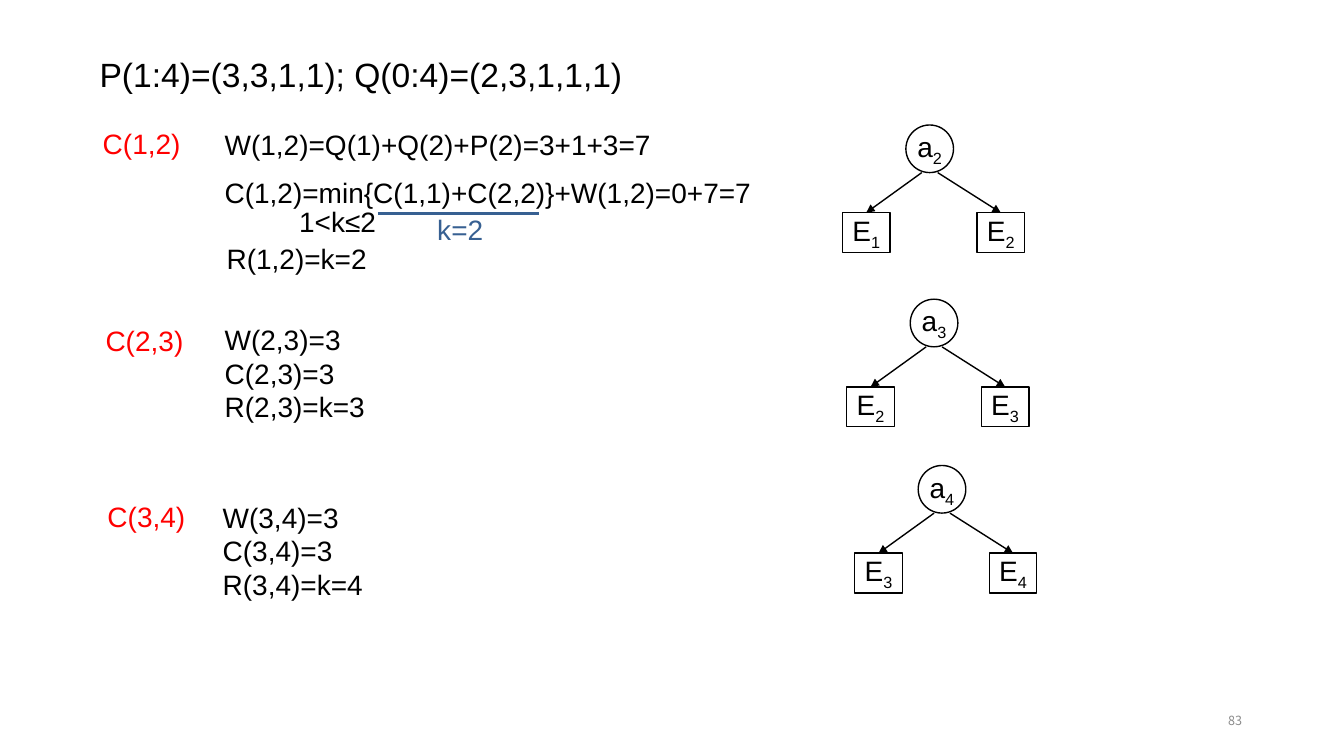
from dataclasses import dataclass

from pptx import Presentation, util as u
from pptx.dml.color import RGBColor
from pptx.enum import shapes, text
from pptx.oxml import xmlchemy as xml


@dataclass(frozen=True)
class Theme:
    font: str = "Arial"
    number_font: str = "Noto Sans CJK SC"
    ink: str = "000000"
    label: str = "FF0000"
    accent: str = "376092"
    muted: str = "8C8C8C"
    title_size: float = 24
    body_size: float = 20
    number_size: float = 9
    thin: float = 1
    thick: float = 2.25


THEME = Theme()
NARROW, WIDE = (0.1, 0.1), (0.25, 0.13)
LINE_HEIGHT = 1.07


def style_run(run, color=THEME.ink, size=THEME.body_size, font=THEME.font):
    run.font.name = font
    run.font.size = u.Pt(size)
    run.font.color.rgb = RGBColor.from_string(color)


def fill_text(shape, content, insets=NARROW, align=text.PP_ALIGN.LEFT,
              anchor=text.MSO_ANCHOR.TOP, spacing=1.0, **style):
    """Write wrapped, plainly spaced text into a text box or placeholder."""
    frame = shape.text_frame
    frame.text = content
    frame.word_wrap = True
    frame.auto_size = text.MSO_AUTO_SIZE.NONE
    frame.vertical_anchor = anchor
    frame.margin_left = frame.margin_right = u.Cm(insets[0])
    frame.margin_top = frame.margin_bottom = u.Cm(insets[1])
    for paragraph in frame.paragraphs:
        paragraph.alignment = align
        paragraph.line_spacing = spacing
        paragraph.space_before = u.Pt(0)
        for run in paragraph.runs:
            style_run(run, **style)


def place(shape, left, top, width, height):
    shape.left, shape.top = u.Cm(left), u.Cm(top)
    shape.width, shape.height = u.Cm(width), u.Cm(height)


def add_text(slide, content, left, top, width, height=LINE_HEIGHT, **options):
    box = slide.shapes.add_textbox(*map(u.Cm, (left, top, width, height)))
    fill_text(box, content, **options)


def add_line(parent, start, end, color, width, arrow=False):
    line = parent.add_connector(shapes.MSO_CONNECTOR.STRAIGHT,
                                *map(u.Cm, (*start, *end)))
    line.line.color.rgb = RGBColor.from_string(color)
    line.line.width = u.Pt(width)
    properties = line._element.spPr
    if arrow:
        head = xml.OxmlElement("a:tailEnd")
        head.set("type", "triangle")
        properties.ln.append(head)
    properties.append(xml.OxmlElement("a:effectLst"))


def add_title(slide, content, left, top, width, height):
    title = slide.shapes.title
    place(title, left, top, width, height)
    fill_text(title, content, spacing=0.9, size=THEME.title_size)


def add_label(slide, content, left, top):
    add_text(slide, content, left, top, 3, 1.12, insets=WIDE, color=THEME.label)


def add_derivation(slide, left, top):
    """Place the full computation of C(1,2), with its marked minimum."""
    add_text(slide, "W(1,2)=Q(1)+Q(2)+P(2)=3+1+3=7", left, top, 13.64)
    add_text(slide, "C(1,2)=min{C(1,1)+C(2,2)}+W(1,2)=0+7=7",
             left, top + 1.2, 16.48)
    add_text(slide, "1<k≤2", left + 1.88, top + 1.93, 2.21)
    add_text(slide, "k=2", left + 5.36, top + 2.44, 1.5, 0.71,
             spacing=0.6, color=THEME.accent)
    add_line(slide.shapes, (left + 3.96, top + 2.26), (left + 8.03, top + 2.26),
             THEME.accent, THEME.thick)
    add_text(slide, "R(1,2)=k=2", left + 0.05, top + 2.87, 4.6)


def add_results(placeholder, lines, left, top):
    place(placeholder, left, top, 4.8, 2.77)
    fill_text(placeholder, "\n".join(lines))
    for paragraph in placeholder.text_frame.paragraphs:
        properties = paragraph._p.get_or_add_pPr()
        properties.set("marL", "0")
        properties.set("indent", "0")
        properties.append(xml.OxmlElement("a:buNone"))


def add_node(parent, kind, letter, index, left, top, width, height):
    node = parent.add_shape(kind, *map(u.Cm, (left, top, width, height)))
    node.shadow.inherit = False
    node.fill.background()
    node.line.color.rgb = RGBColor.from_string(THEME.ink)
    node.line.width = u.Pt(THEME.thin)
    frame = node.text_frame
    frame.word_wrap = False
    frame.vertical_anchor = text.MSO_ANCHOR.MIDDLE
    paragraph = frame.paragraphs[0]
    paragraph.alignment = text.PP_ALIGN.CENTER
    for part in (letter, str(index)):
        run = paragraph.add_run()
        run.text = part
        style_run(run)
    run.font._element.set("baseline", "-25000")


def add_tree(slide, root, left, top):
    """Place root a(root) above its leaves E(root-1) and E(root)."""
    parent = slide.shapes.add_group_shape().shapes
    size, leaf_height, leaf_top = 1.2, 1.0, top + 2.21
    root_left = left + 1.6
    add_node(parent, shapes.MSO_SHAPE.OVAL, "a", root, root_left, top, size, size)
    branches = ((root - 1, left, -0.2), (root, left + 3.39, 0.2))
    for index, leaf_left, offset in branches:
        add_node(parent, shapes.MSO_SHAPE.RECTANGLE, "E", index,
                 leaf_left, leaf_top, size, leaf_height)
        add_line(parent, (root_left + size / 2 + offset, top + size),
                 (leaf_left + size / 2, leaf_top),
                 THEME.ink, THEME.thin, arrow=True)


def add_slide_number(slide, number, left, top, width, height):
    add_text(slide, number, left, top, width, height, insets=WIDE,
             align=text.PP_ALIGN.RIGHT, anchor=text.MSO_ANCHOR.MIDDLE,
             color=THEME.muted, size=THEME.number_size, font=THEME.number_font)


def main():
    presentation = Presentation()
    presentation.slide_width, presentation.slide_height = u.Cm(33.87), u.Cm(19.05)
    two_lists = presentation.slide_layouts[3]
    slide = presentation.slides.add_slide(two_lists)

    add_title(slide, "P(1:4)=(3,3,1,1); Q(0:4)=(2,3,1,1,1)", 2.41, 1.37, 18.8, 1.12)
    for content, left, top in (("C(1,2)", 2.34, 3.07), ("C(2,3)", 2.41, 8.03),
                               ("C(3,4)", 2.46, 12.45)):
        add_label(slide, content, left, top)
    add_derivation(slide, 5.56, 3.12)
    add_results(slide.placeholders[1], ("W(2,3)=3", "C(2,3)=3", "R(2,3)=k=3"),
                5.56, 8.03)
    add_results(slide.placeholders[2], ("W(3,4)=3", "C(3,4)=3", "R(3,4)=k=4"),
                5.51, 12.5)
    for root, left, top in ((2, 21.23, 3.15), (3, 21.34, 7.54), (4, 21.54, 11.73)):
        add_tree(slide, root, left, top)
    add_slide_number(slide, "83", 23.93, 17.65, 7.62, 1.02)

    presentation.save("out.pptx")


if __name__ == "__main__":
    main()
